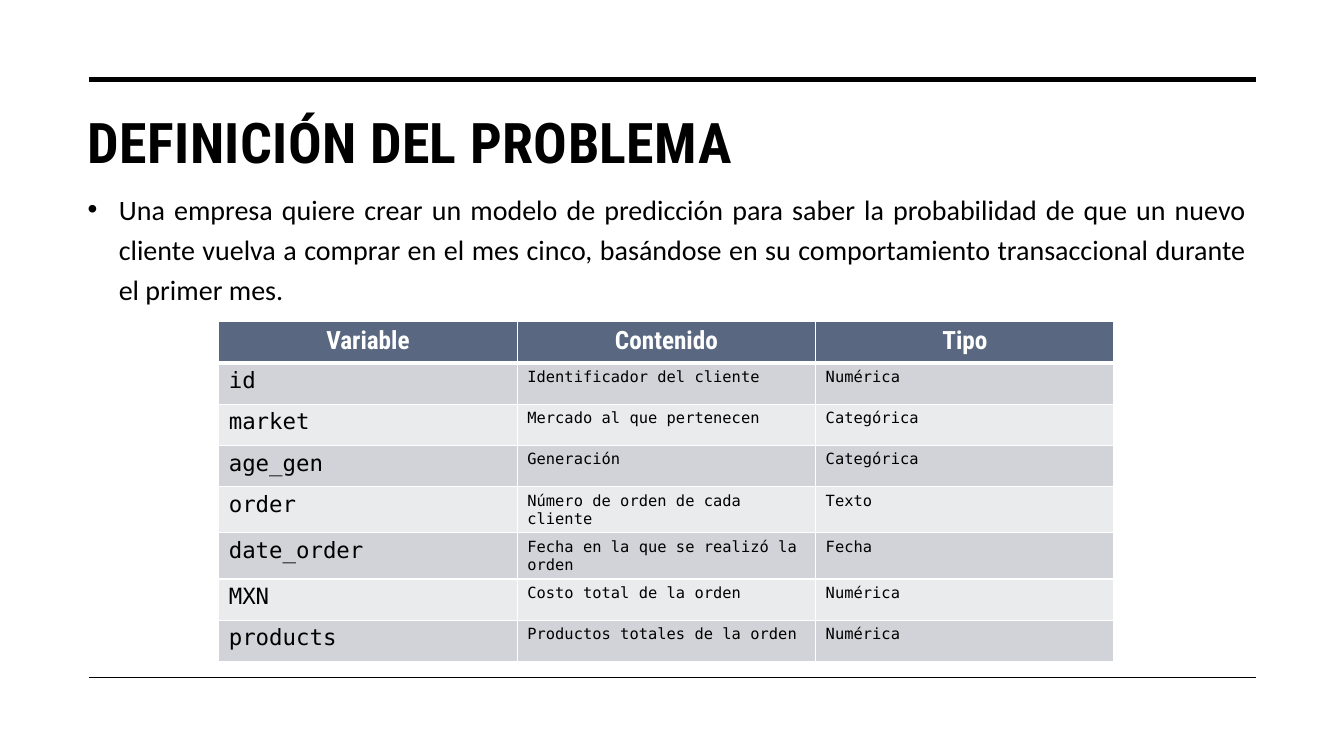
from dataclasses import dataclass

from lxml.etree import SubElement
from pptx import Presentation
from pptx.dml.color import RGBColor
from pptx.enum.shapes import MSO_CONNECTOR
from pptx.enum.text import MSO_ANCHOR, MSO_AUTO_SIZE, PP_ALIGN
from pptx.oxml.ns import qn
from pptx.slide import Slide
from pptx.table import _Cell
from pptx.text.text import TextFrame, _Paragraph, _Run
from pptx.util import Emu, Pt

EMU_PER_PX = 9144
COLORS = {
    "black": "000000",
    "white": "FFFFFF",
    "header": "596781",
    "odd_row": "D1D3D8",
    "even_row": "EAEBED",
}
FORMATS = {
    "title": {"name": "Roboto Condensed", "size": Pt(40), "bold": True},
    "body": {"name": "Calibri", "size": Pt(20), "bold": False},
    "header": {"name": "Roboto Condensed", "size": Pt(18), "bold": True},
    "variable": {"name": "DejaVu Sans Mono", "size": Pt(16), "bold": False},
    "detail": {"name": "DejaVu Sans Mono", "size": Pt(11), "bold": False},
}
FRAME_FORMAT = {"word_wrap": True, "auto_size": MSO_AUTO_SIZE.NONE}
BODY_FORMAT = {
    "alignment": PP_ALIGN.JUSTIFY,
    "line_spacing": 1.2,
    "space_before": Pt(10),
}
BORDER_TAGS = ("a:lnL", "a:lnR", "a:lnT", "a:lnB")

TITLE = "DEFINICIÓN DEL PROBLEMA"
BODY = (
    "Una empresa quiere crear un modelo de predicción para saber la probabilidad "
    "de que un nuevo cliente vuelva a comprar en el mes cinco, basándose en su "
    "comportamiento transaccional durante el primer mes."
)


@dataclass(frozen=True)
class Rule:
    top: int
    weight: float


@dataclass(frozen=True)
class Variable:
    name: str
    content: str
    kind: str


RULES = (Rule(79, 3.5), Rule(672, 1))
HEADER = Variable("Variable", "Contenido", "Tipo")
VARIABLES = (
    Variable("id", "Identificador del cliente", "Numérica"),
    Variable("market", "Mercado al que pertenecen", "Categórica"),
    Variable("age_gen", "Generación", "Categórica"),
    Variable("order", "Número de orden de cada cliente", "Texto"),
    Variable("date_order", "Fecha en la que se realizó la orden", "Fecha"),
    Variable("MXN", "Costo total de la orden", "Numérica"),
    Variable("products", "Productos totales de la orden", "Numérica"),
)


def px(length: int) -> Emu:
    return Emu(length * EMU_PER_PX)


def color(name: str) -> RGBColor:
    return RGBColor.from_string(COLORS[name])


def set_attributes(target: object, values: dict) -> None:
    for name, value in values.items():
        setattr(target, name, value)


def write(paragraph: _Paragraph, text: str, style: str, ink: str = "black") -> _Run:
    run = paragraph.add_run()
    run.text = text
    set_attributes(run.font, FORMATS[style])
    run.font.color.rgb = color(ink)
    return run


def add_rule(slide: Slide, rule: Rule) -> None:
    line = slide.shapes.add_connector(
        MSO_CONNECTOR.STRAIGHT, px(88), px(rule.top), px(1246), px(rule.top)
    )
    line.line.color.rgb = color("black")
    line.line.width = Pt(rule.weight)
    SubElement(line._element.spPr, qn("a:effectLst"))


def add_title(slide: Slide) -> None:
    title = slide.shapes.title
    set_attributes(
        title, {"left": px(77), "top": px(101), "width": px(1169), "height": px(78)}
    )
    frame: TextFrame = title.text_frame
    set_attributes(frame, FRAME_FORMAT | {"vertical_anchor": MSO_ANCHOR.MIDDLE})
    frame.paragraphs[0].alignment = PP_ALIGN.LEFT
    run = write(frame.paragraphs[0], TITLE, "title")
    run._r.get_or_add_rPr().set("spc", "30")


def add_body(slide: Slide) -> None:
    frame = slide.shapes.add_textbox(px(77), px(179), px(1169), px(470)).text_frame
    set_attributes(frame, FRAME_FORMAT)
    paragraph = frame.paragraphs[0]
    set_attributes(paragraph, BODY_FORMAT)
    properties = paragraph._p.get_or_add_pPr()
    properties.set("marL", str(px(31)))
    properties.set("indent", str(px(-31)))
    SubElement(properties, qn("a:buFont"), typeface="Arial")
    SubElement(properties, qn("a:buChar"), char="•")
    write(paragraph, BODY, "body")


def add_borders(cell: _Cell, row: int) -> None:
    properties = cell._tc.get_or_add_tcPr()
    for position, tag in enumerate(BORDER_TAGS):
        thick = (row, tag) in ((0, "a:lnB"), (1, "a:lnT"))
        border = properties.makeelement(qn(tag), {"w": str(Pt(3 if thick else 1))})
        fill = SubElement(border, qn("a:solidFill"))
        SubElement(fill, qn("a:srgbClr"), val=COLORS["white"])
        properties.insert(position, border)


def add_variable_table(slide: Slide) -> None:
    entries = (HEADER, *VARIABLES)
    table = slide.shapes.add_table(
        len(entries), 3, px(217), px(319), px(888), px(41 * len(entries))
    ).table
    for row, entry in enumerate(entries):
        band = "header" if row == 0 else "odd_row" if row % 2 else "even_row"
        for column, text in enumerate((entry.name, entry.content, entry.kind)):
            cell = table.cell(row, column)
            cell.fill.solid()
            cell.fill.fore_color.rgb = color(band)
            add_borders(cell, row)
            paragraph = cell.text_frame.paragraphs[0]
            if row == 0:
                paragraph.alignment = PP_ALIGN.CENTER
                write(paragraph, text, "header", "white")
            else:
                write(paragraph, text, "detail" if column else "variable")


def main() -> None:
    """Build the problem definition slide with its table of variables."""
    presentation = Presentation()
    presentation.slide_width = px(1333)
    presentation.slide_height = px(750)
    slide = presentation.slides.add_slide(
        presentation.slide_layouts.get_by_name("Title Only")
    )
    slide.background.fill.solid()
    slide.background.fill.fore_color.rgb = color("white")
    for rule in RULES:
        add_rule(slide, rule)
    add_title(slide)
    add_body(slide)
    add_variable_table(slide)
    presentation.save("out.pptx")


if __name__ == "__main__":
    main()
